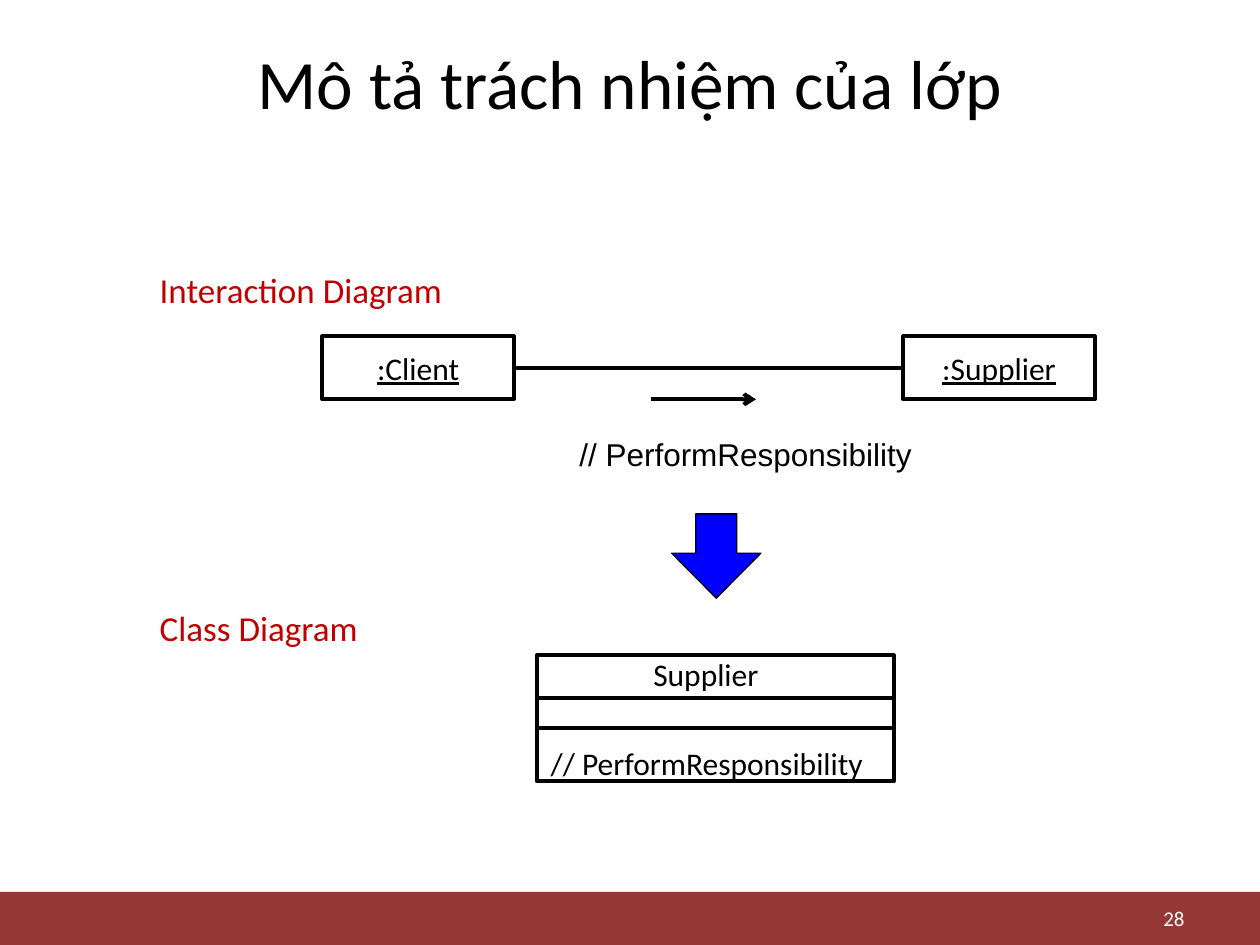
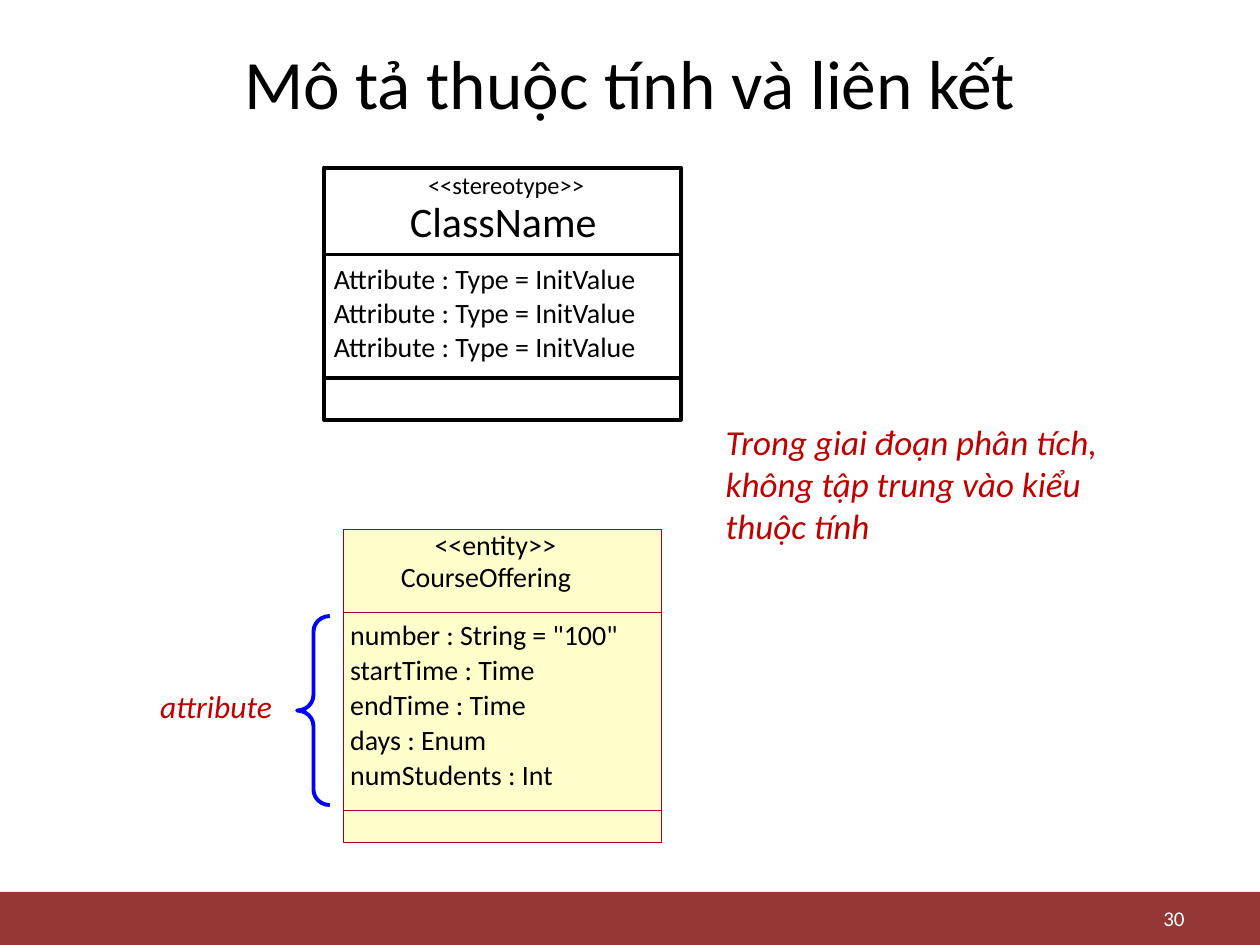
from dataclasses import dataclass

from pptx import Presentation
from pptx.dml.color import RGBColor
from pptx.enum.shapes import MSO_CONNECTOR as Connector, MSO_SHAPE as Preset
from pptx.enum.text import MSO_ANCHOR as Anchor, MSO_AUTO_SIZE as AutoSize, PP_ALIGN as Align
from pptx.oxml.ns import qn
from pptx.util import Cm, Pt
from lxml.etree import SubElement


@dataclass(frozen=True)
class Theme:
    """Colours, fonts, type sizes and line widths of the deck."""
    ink: str = "000000"
    white: str = "FFFFFF"
    band: str = "953735"
    accent: str = "C00000"
    blue: str = "0000FF"
    entity_fill: str = "FFFFCC"
    entity_line: str = "990033"
    font: str = "Calibri"
    message_font: str = "Arial"
    title: float = 39.6
    class_name: float = 24
    heading: float = 20
    label: float = 18
    member: float = 16
    stereotype: float = 14
    number: float = 12
    thick: float = 2.25
    thin: float = 0.75
    hairline: float = 0.5


THEME = Theme()
WIDTH, HEIGHT = 25.4, 19.05
BAND_TOP = 17.98
PADDED = (0.3, 0.15)


def rgb(color):
    """Turn a hex string into a colour."""
    return RGBColor.from_string(color)


def write(shape, lines, size, color=THEME.ink, font=THEME.font, align=Align.LEFT,
          anchor=Anchor.TOP, inset=(0, 0), italic=False, underline=False, gap=0):
    """Fill a shape's text frame with evenly formatted paragraphs."""
    frame = shape.text_frame
    frame.word_wrap = True
    frame.auto_size = AutoSize.NONE
    frame.vertical_anchor = anchor
    frame.margin_left = frame.margin_right = Cm(inset[0])
    frame.margin_top = frame.margin_bottom = Cm(inset[1])
    frame.text = "\n".join(lines)
    for paragraph in frame.paragraphs:
        paragraph.alignment = align
        paragraph.space_before = Pt(0)
        paragraph.space_after = Pt(gap)
        paragraph.font.name = font
        paragraph.font.size = Pt(size)
        paragraph.font.color.rgb = rgb(color)
        paragraph.font.italic = italic
        paragraph.font.underline = underline


def add_text(shapes, box, lines, size, **style):
    """Add a text box."""
    write(shapes.add_textbox(*map(Cm, box)), lines, size, **style)


def add_preset(shapes, preset, box, fill=None, line=None, width=THEME.thick, adjustments=()):
    """Add a preset shape with a plain fill and outline."""
    shape = shapes.add_shape(preset, *map(Cm, box))
    shape.shadow.inherit = False
    for index, value in enumerate(adjustments):
        shape.adjustments[index] = value
    if fill:
        shape.fill.solid()
        shape.fill.fore_color.rgb = rgb(fill)
    else:
        shape.fill.background()
    if line:
        shape.line.color.rgb = rgb(line)
        shape.line.width = Pt(width)
    else:
        shape.line.fill.background()
    return shape


def add_line(shapes, start, end, color=THEME.ink, width=THEME.thick, arrow=False):
    """Add a straight connector, with an open arrowhead if asked."""
    connector = shapes.add_connector(Connector.STRAIGHT, *map(Cm, start + end))
    connector.line.color.rgb = rgb(color)
    connector.line.width = Pt(width)
    properties = connector.element.spPr
    if arrow:
        SubElement(properties.find(qn("a:ln")), qn("a:tailEnd"), type="arrow")
    SubElement(properties, qn("a:effectLst"))
    return connector


def add_object(shapes, left, name):
    """Add an interaction diagram object with its underlined name."""
    shape = add_preset(shapes, Preset.RECTANGLE, (left, 6.78, 3.86, 1.27), line=THEME.ink)
    write(shape, [name], THEME.label, align=Align.CENTER, anchor=Anchor.MIDDLE, underline=True)
    return shape


def add_class(slide, box, dividers, fill=None, line=THEME.ink, width=THEME.thick):
    """Add a grouped class box with dividers and return the group's shapes."""
    shapes = slide.shapes.add_group_shape().shapes
    add_preset(shapes, Preset.RECTANGLE, box, fill, line, width)
    left, right = box[0], box[0] + box[2]
    for y in dividers:
        add_line(shapes, (left, y), (right, y), line, width)
    return shapes


def add_slide(presentation, layout, title, number):
    """Add a slide with its title and slide number."""
    slide = presentation.slides.add_slide(layout)
    write(slide.shapes.title, [title], THEME.title, align=Align.CENTER, anchor=Anchor.MIDDLE)
    add_text(slide.shapes, (18.21, 18.16, 5.92, 0.69), [str(number)], THEME.number,
             color=THEME.white, align=Align.RIGHT, anchor=Anchor.MIDDLE, inset=(0.25, 0))
    return slide


def prepare_layout(presentation):
    """Place the title and the footer band on the Title Only layout."""
    layout = presentation.slide_layouts.get_by_name("Title Only")
    title = layout.placeholders[0]
    title.left, title.top, title.width, title.height = map(Cm, (1.27, 0.76, 22.86, 1.78))
    return layout


def move_band_to_layout(slide, layout):
    """Draw the footer band and move it behind everything on the layout."""
    band = add_preset(slide.shapes, Preset.RECTANGLE,
                      (0, BAND_TOP, WIDTH, HEIGHT - BAND_TOP), THEME.band)
    layout.shapes.element.insert(2, band.element)


def draw_responsibilities(slide):
    """Draw the interaction diagram and the class diagram it leads to."""
    shapes = slide.shapes
    for top, heading in ((5.26, "Interaction Diagram"), (12.07, "Class Diagram")):
        add_text(shapes, (2.92, top, 10, 1.14), [heading], THEME.heading,
                 color=THEME.accent, inset=PADDED)

    client = add_object(shapes, 6.5, ":Client")
    supplier = add_object(shapes, 18.21, ":Supplier")
    link = add_line(shapes, (10.36, 7.42), (18.21, 7.42))
    link.begin_connect(client, 3)
    link.end_connect(supplier, 1)
    add_line(shapes, (13.13, 8.05), (15.24, 8.05), arrow=True)
    operation = ["// PerformResponsibility"]
    add_text(shapes, (11.68, 8.76, 7.19, 0.76), operation, THEME.label, font=THEME.message_font)
    add_preset(shapes, Preset.DOWN_ARROW, (13.54, 10.36, 1.8, 1.7), THEME.blue,
               THEME.ink, THEME.thin, (0.461, 0.534))

    members = add_class(slide, (10.82, 13.21, 7.2, 2.54), (14.07, 14.68))
    add_text(members, (13.06, 13.21, 2.34, 0.76), ["Supplier"], THEME.label, align=Align.CENTER)
    add_text(members, (10.9, 14.99, 6.7, 0.76), operation, THEME.label, align=Align.CENTER)


def draw_attributes(slide):
    """Draw the class template, the entity example and their notes."""
    template = add_class(slide, (6.53, 3.38, 7.2, 5.08), (5.13, 7.62))
    add_text(template, (7.95, 3.94, 4.39, 1.02), ["ClassName"], THEME.class_name,
             align=Align.CENTER)
    add_text(template, (8.48, 3.43, 3.45, 0.58), ["<<stereotype>>"], THEME.stereotype,
             align=Align.CENTER)
    add_text(template, (6.73, 5.28, 6.68, 2.2), ["Attribute : Type = InitValue"] * 3,
             THEME.member)

    entity = add_class(slide, (6.93, 10.67, 6.4, 6.32), (12.34, 16.33),
                       THEME.entity_fill, THEME.entity_line, THEME.hairline)
    add_text(entity, (8.76, 10.64, 2.67, 0.69), ["<<entity>>"], THEME.member)
    add_text(entity, (8.08, 11.28, 3.84, 0.69), ["CourseOffering"], THEME.member)
    add_text(entity, (7.06, 12.45, 5.84, 3.6),
             ['number : String = "100"', "startTime : Time", "endTime : Time",
              "days : Enum", "numStudents : Int"], THEME.member, gap=0.8)

    add_preset(slide.shapes, Preset.LEFT_BRACE, (5.99, 12.42, 0.66, 3.81),
               line=THEME.blue, adjustments=(0.474, 0.5))
    add_text(slide.shapes, (2.64, 13.72, 3.43, 1.02), ["attribute"], THEME.label,
             color=THEME.accent, align=Align.CENTER, inset=(0.25, 0.13), italic=True)
    add_text(slide.shapes, (14.33, 8.33, 9.37, 2.87),
             ["Trong giai đoạn phân tích, không tập trung vào kiểu thuộc tính"],
             THEME.heading, color=THEME.accent, inset=PADDED, italic=True)


def main():
    """Build and save the presentation."""
    presentation = Presentation()
    presentation.slide_width, presentation.slide_height = Cm(WIDTH), Cm(HEIGHT)
    layout = prepare_layout(presentation)
    responsibilities = add_slide(presentation, layout, "Mô tả trách nhiệm của lớp", 28)
    move_band_to_layout(responsibilities, layout)
    draw_responsibilities(responsibilities)
    draw_attributes(add_slide(presentation, layout, "Mô tả thuộc tính và liên kết", 30))
    presentation.save("out.pptx")


if __name__ == "__main__":
    main()
